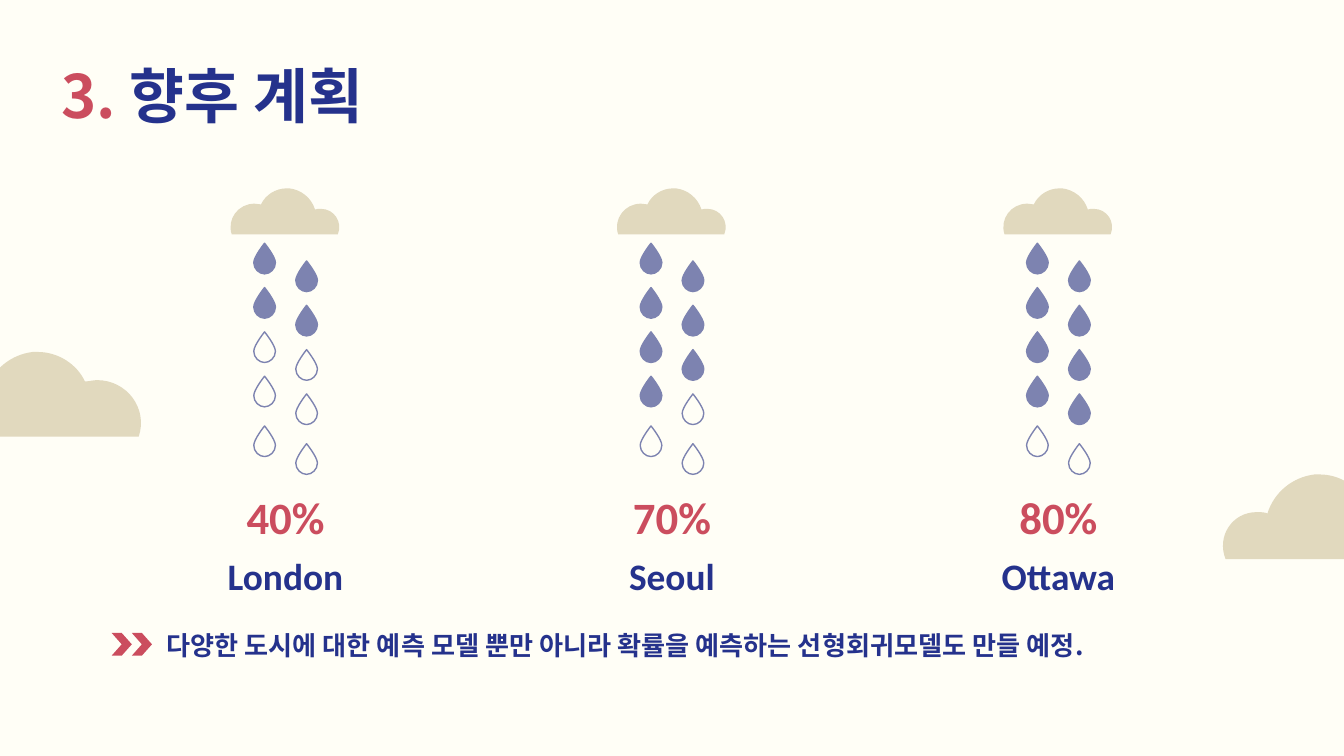
"""Build a slide that shows rain chances of three cities as clouds and drops."""
from dataclasses import dataclass

from lxml import etree
from pptx import Presentation
from pptx import util as u
from pptx.dml.color import RGBColor
from pptx.enum import shapes, text
from pptx.oxml import ns


@dataclass(frozen=True)
class Theme:
    """Colours, fonts and type sizes of the slide."""
    paper: str = "FFFEF6"
    cloud: str = "E1D9BE"
    rain: str = "7D83B0"
    navy: str = "25328C"
    red: str = "CB4D5E"
    latin: str = "Calibri"
    korean: str = "Noto Sans CJK KR"
    heading: int = 32
    chance: int = 24
    city: int = 20
    plan: int = 14


THEME = Theme()
CITIES = [("London", 40), ("Seoul", 70), ("Ottawa", 80)]
FIRST_CENTRE, CITY_PITCH = 153, 207
ROW_TOPS = [130.3, 154.05, 177.8, 201.55, 228.2]
COLUMN_OFFSET, COLUMN_DROP = 11.25, 9.5

CLOUD = [
    (55.4, 0),
    (66.2, 0), (76.3, 6.5), (80.6, 15.8),
    (82.8, 15.8), (85, 15.1), (87.1, 15.1),
    (103, 15.1), (114.5, 30.2), (109.4, 45.4),
    (109.4, 45.4), (5, 45.4), (5, 45.4),
    (0, 33.1), (8.6, 20.2), (21.6, 20.2),
    (23.8, 20.2), (25.9, 20.2), (27.4, 20.9),
    (31, 9.4), (41, 1.4), (52.6, 0),
    (53.3, 0), (54, 0), (55.4, 0),
]
DROP = [
    (0, 0),
    (0, 0), (5.8, 7.2), (5.8, 10.4),
    (5.8, 13.8), (2.9, 16.4), (0, 16.4),
    (-2.9, 16.4), (-5.8, 13.8), (-5.8, 10.4),
    (-5.8, 7.2), (0, 0), (0, 0),
]


def curve_segments(shape):
    """Merge each three straight segments of a freeform into one cubic curve."""
    lines = list(shape._element.iter(ns.qn("a:lnTo")))
    for first, second, third in zip(lines[::3], lines[1::3], lines[2::3]):
        curve = etree.Element(ns.qn("a:cubicBezTo"))
        first.addprevious(curve)
        for segment in (first, second, third):
            curve.append(segment[0])
            segment.getparent().remove(segment)


def paint(shape, fill=None, line=None):
    """Set the fill and the outline of a shape, each optional."""
    shape.shadow.inherit = False
    for part, colour in ((shape.fill, fill), (shape.line.fill, line)):
        if colour:
            part.solid()
            part.fore_color.rgb = RGBColor.from_string(colour)
        else:
            part.background()
    if line:
        shape.line.width = u.Pt(0.75)


def add_outline(parent, outline, left, top, scale_x=1, scale_y=1, **colours):
    """Draw a curved outline placed by its own origin."""
    points = [(u.Pt(left + x * scale_x), u.Pt(top + y * scale_y)) for x, y in outline]
    builder = parent.build_freeform(*points[0])
    builder.add_line_segments(points[1:], close=True)
    outlined = builder.convert_to_shape()
    curve_segments(outlined)
    paint(outlined, **colours)


def add_text(parent, box, runs, *, size, font, align=text.PP_ALIGN.LEFT,
             anchor=text.MSO_ANCHOR.TOP, margin=3.6, wrap=True):
    """Add a bold text box from pairs of wording and colour."""
    frame = parent.add_textbox(*(u.Pt(length) for length in box)).text_frame
    frame.word_wrap = wrap
    frame.auto_size = text.MSO_AUTO_SIZE.NONE if wrap else text.MSO_AUTO_SIZE.SHAPE_TO_FIT_TEXT
    frame.vertical_anchor = anchor
    frame.margin_top = frame.margin_bottom = u.Pt(margin)
    paragraph = frame.paragraphs[0]
    paragraph.alignment = align
    for wording, colour in runs:
        run = paragraph.add_run()
        run.text = wording
        run.font.name = font
        run.font.size = u.Pt(size)
        run.font.bold = True
        run.font.color.rgb = RGBColor.from_string(colour)
        east_asian = etree.SubElement(run.font._element, ns.qn("a:ea"))
        east_asian.set("typeface", font)


def add_rain(parent, centre, filled):
    """Group a small cloud with ten drops, the first ones filled."""
    rain = parent.add_group_shape().shapes
    add_outline(rain, CLOUD, centre + 30.7, 100.9, -0.544, 0.544, fill=THEME.cloud)
    for row, top in enumerate(ROW_TOPS):
        for column, side in enumerate((-1, 1)):
            fill = THEME.rain if 2 * row + column < filled else None
            add_outline(rain, DROP, centre + side * COLUMN_OFFSET,
                        top + column * COLUMN_DROP, fill=fill, line=THEME.rain)


def add_city(parent, centre, city, percent):
    """Add the rain, the chance and the name of one city."""
    add_rain(parent, centre, percent // 10)
    left, width = centre - 74.5, 149
    centred = dict(font=THEME.latin, align=text.PP_ALIGN.CENTER, margin=7.2)
    add_text(parent, (left, 258.5, width, 36.7), [(f"{percent}%", THEME.red)],
             size=THEME.chance, anchor=text.MSO_ANCHOR.MIDDLE, **centred)
    add_text(parent, (left, 289.4, width, 34.6), [(city, THEME.navy)],
             size=THEME.city, **centred)


def add_chevron(parent, left):
    """Add one chevron of the marker before the plan."""
    box = (left, 339.1, 10.8, 12.2)
    chevron = parent.add_shape(shapes.MSO_SHAPE.CHEVRON, *(u.Pt(length) for length in box))
    paint(chevron, fill=THEME.red)


def main():
    """Build and save the slide."""
    deck = Presentation()
    deck.slide_width, deck.slide_height = u.Pt(720), u.Pt(405)
    slide = deck.slides.add_slide(deck.slide_layouts[6])
    slide.background.fill.solid()
    slide.background.fill.fore_color.rgb = RGBColor.from_string(THEME.paper)
    parts = slide.shapes

    for left, top in ((651.6, 254.2), (-35.1, 188.6)):
        add_outline(parts, CLOUD, left, top, fill=THEME.cloud)
    for i, (city, percent) in enumerate(CITIES):
        add_city(parts, FIRST_CENTRE + i * CITY_PITCH, city, percent)

    add_text(parts, (25.9, 28.1, 205.2, 46.1),
             [("3. ", THEME.red), ("향후 계획", THEME.navy)],
             size=THEME.heading, font=THEME.korean, wrap=False)
    plan = "다양한 도시에 대한 예측 모델 뿐만 아니라 확률을 예측하는 선형회귀모델도 만들 예정."
    add_text(parts, (82.1, 333.4, 572.4, 24.5), [(plan, THEME.navy)],
             size=THEME.plan, font=THEME.korean, wrap=False)
    for left in (70.6, 59.8):
        add_chevron(parts, left)

    deck.save("out.pptx")


if __name__ == "__main__":
    main()
